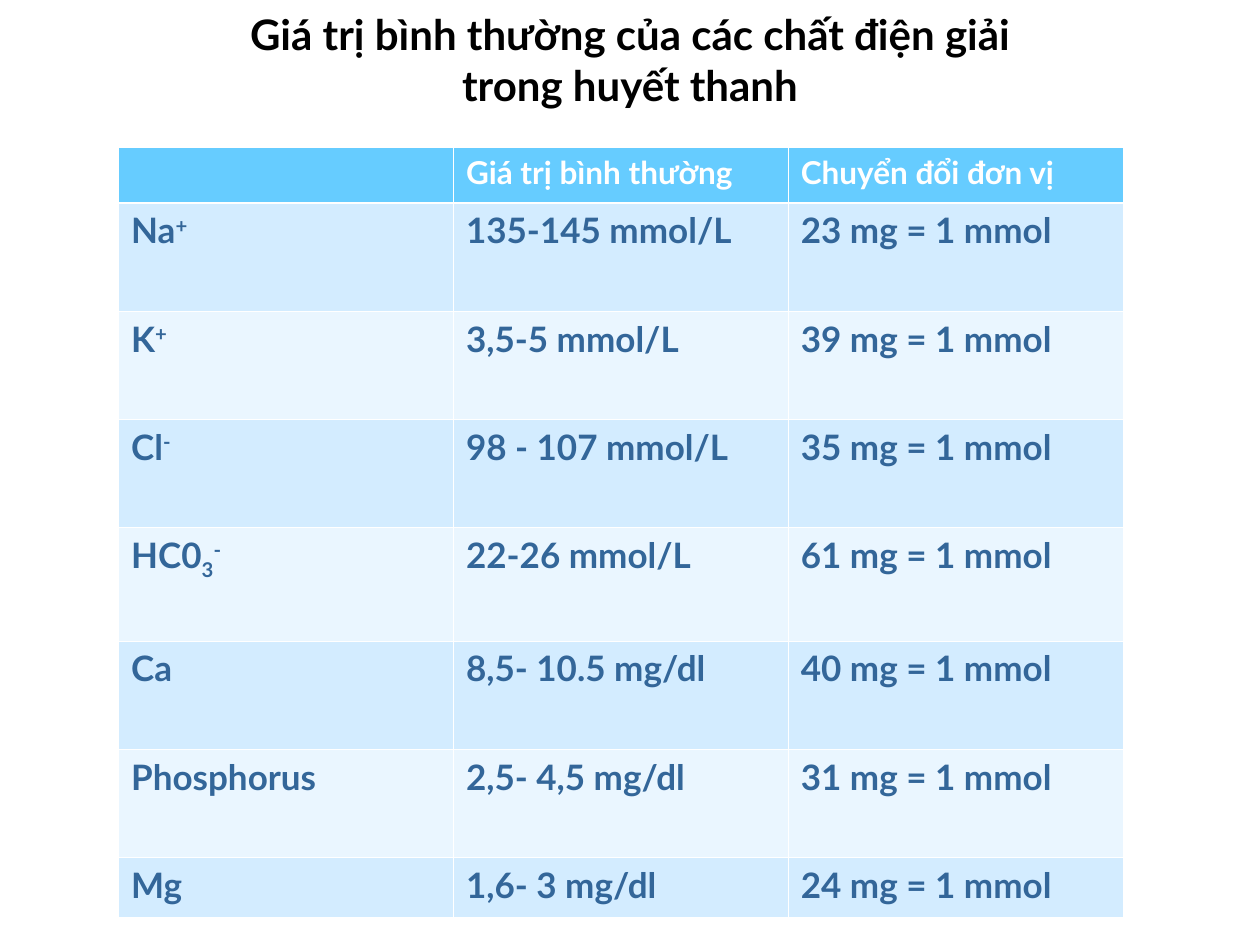
import pptx
import pptx.dml.color
import pptx.enum.text
import pptx.oxml
import pptx.oxml.ns
import pptx.util

Cm, Pt = pptx.util.Cm, pptx.util.Pt
RGB = pptx.dml.color.RGBColor
Anchor, Align = pptx.enum.text.MSO_ANCHOR, pptx.enum.text.PP_ALIGN

BLACK = RGB(0x00, 0x00, 0x00)
WHITE = RGB(0xFF, 0xFF, 0xFF)
NAVY = RGB(0x33, 0x66, 0x99)
SKY = RGB(0x66, 0xCC, 0xFF)
PALE = RGB(0xD3, 0xEC, 0xFF)
ICE = RGB(0xEA, 0xF6, 0xFF)

SUP, SUB = 30, -25
THIN, THICK = 0.45, 1.47

TITLE = "Giá trị bình thường của các chất điện giải\vtrong huyết thanh"
HEAD = ["", "Giá trị bình thường", "Chuyển đổi đơn vị"]
ROWS = [
    [[("Na", 0), ("+", SUP)], "135-145 mmol/L", "23 mg = 1 mmol"],
    [[("K", 0), ("+", SUP)], "3,5-5 mmol/L", "39 mg = 1 mmol"],
    [[("Cl", 0), ("-", SUP)], "98 - 107 mmol/L", "35 mg = 1 mmol"],
    [[("HC0", 0), ("3", SUB), ("-", SUP)], "22-26 mmol/L", "61 mg = 1 mmol"],
    ["Ca", "8,5- 10.5 mg/dl", "40 mg = 1 mmol"],
    ["Phosphorus", "2,5- 4,5 mg/dl", "31 mg = 1 mmol"],
    ["Mg", "1,6- 3 mg/dl", "24 mg = 1 mmol"],
]
HIGHS = [1.12, 2.18, 2.18, 2.18, 2.29, 2.18, 2.18, 1.22]


def write(frame, text, size=20, color=NAVY, align=Align.LEFT):
    """Fill a frame with a string, or with (text, baseline percent) parts."""
    para = frame.paragraphs[0]
    para.alignment = align
    if isinstance(text, str):
        para.text = text
        para.font.size = Pt(size)
    else:
        for part, base in text:
            run = para.add_run()
            run.text = part
            if base:
                run._r.get_or_add_rPr().set("baseline", str(base * 1000))
    for run in para.runs:
        run.font.name = "Lato"
        run.font.size = Pt(size)
        run.font.bold = True
        run.font.color.rgb = color


def edge(cell, side, width, color=WHITE):
    """Draw one border of a cell; side is L, R, T or B."""
    line = pptx.oxml.parse_xml(
        f'<a:ln{side} {pptx.oxml.ns.nsdecls("a")} w="{Pt(width)}">'
        f'<a:solidFill><a:srgbClr val="{color}"/></a:solidFill></a:ln{side}>')
    cell._tc.get_or_add_tcPr().append(line)


class Deck:
    def __init__(self):
        self.show = pptx.Presentation()
        self.show.slide_width = Cm(25.4)
        self.show.slide_height = Cm(19.05)
        self.slide = self.show.slides.add_slide(self.show.slide_layouts[5])

    def title(self, text, left, top, width, height):
        shape = self.slide.shapes.title
        shape.left, shape.top = Cm(left), Cm(top)
        shape.width, shape.height = Cm(width), Cm(height)
        frame = shape.text_frame
        frame.auto_size = pptx.enum.text.MSO_AUTO_SIZE.NONE
        frame.vertical_anchor = Anchor.BOTTOM
        frame.margin_top, frame.margin_bottom = 0, Cm(1.14)
        write(frame, text, size=24, color=BLACK, align=Align.CENTER)

    def table(self, rows, left, top, wide, highs):
        cols = len(rows[0])
        grid = self.slide.shapes.add_table(
            len(rows), cols, Cm(left), Cm(top),
            Cm(wide * cols), Cm(sum(highs))).table
        for col in grid.columns:
            col.width = Cm(wide)
        for r, (row, high) in enumerate(zip(rows, highs)):
            grid.rows[r].height = Cm(high)
            for c, text in enumerate(row):
                self.cell(grid.cell(r, c), text, r)

    def cell(self, cell, text, r):
        edge(cell, "L", THIN)
        edge(cell, "R", THIN)
        edge(cell, "T", THICK if r == 1 else THIN)
        edge(cell, "B", THICK if r == 0 else THIN)
        cell.fill.solid()
        if r == 0:
            cell.fill.fore_color.rgb = SKY
            write(cell.text_frame, text, size=18, color=WHITE)
        else:
            cell.fill.fore_color.rgb = PALE if r % 2 else ICE
            write(cell.text_frame, text)


def main():
    deck = Deck()
    deck.title(TITLE, 1.27, 0.58, 22.86, 2.77)
    deck.table([HEAD] + ROWS, 2.39, 2.97, 6.75, HIGHS)
    deck.show.save("out.pptx")


if __name__ == "__main__":
    main()
